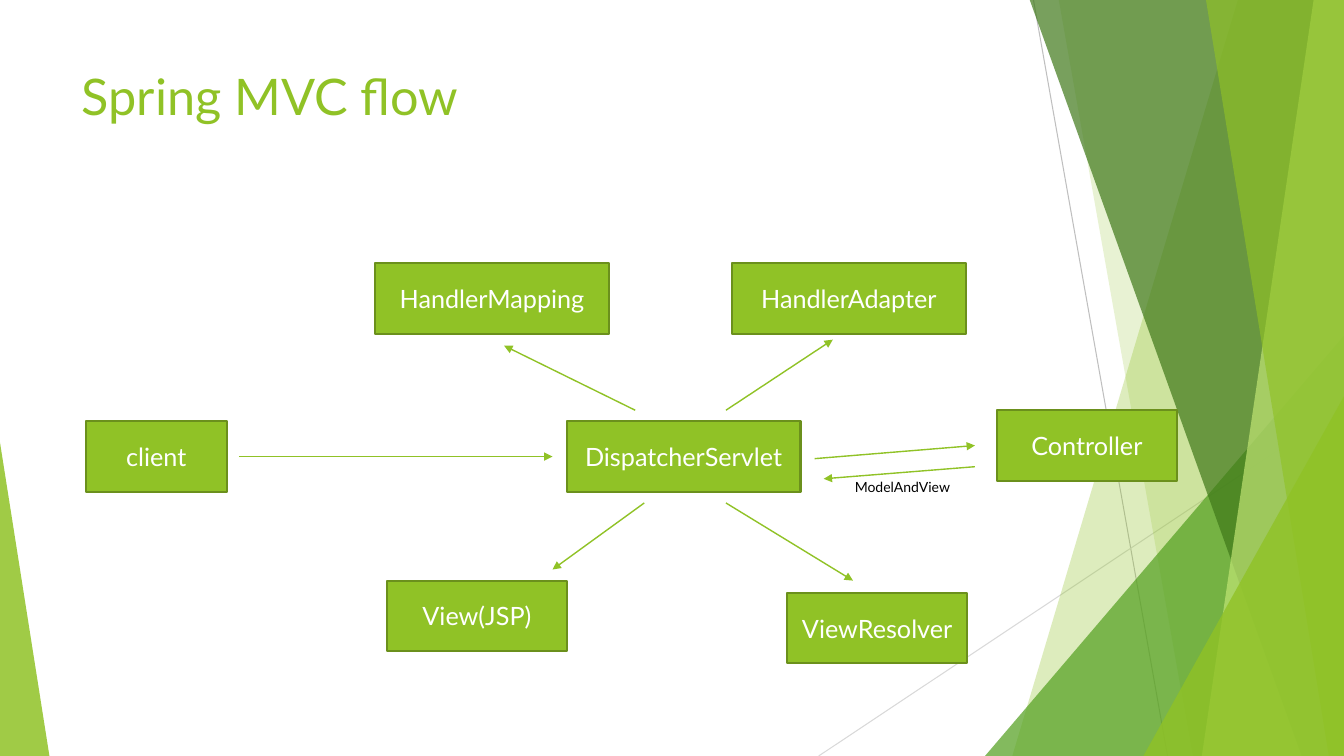
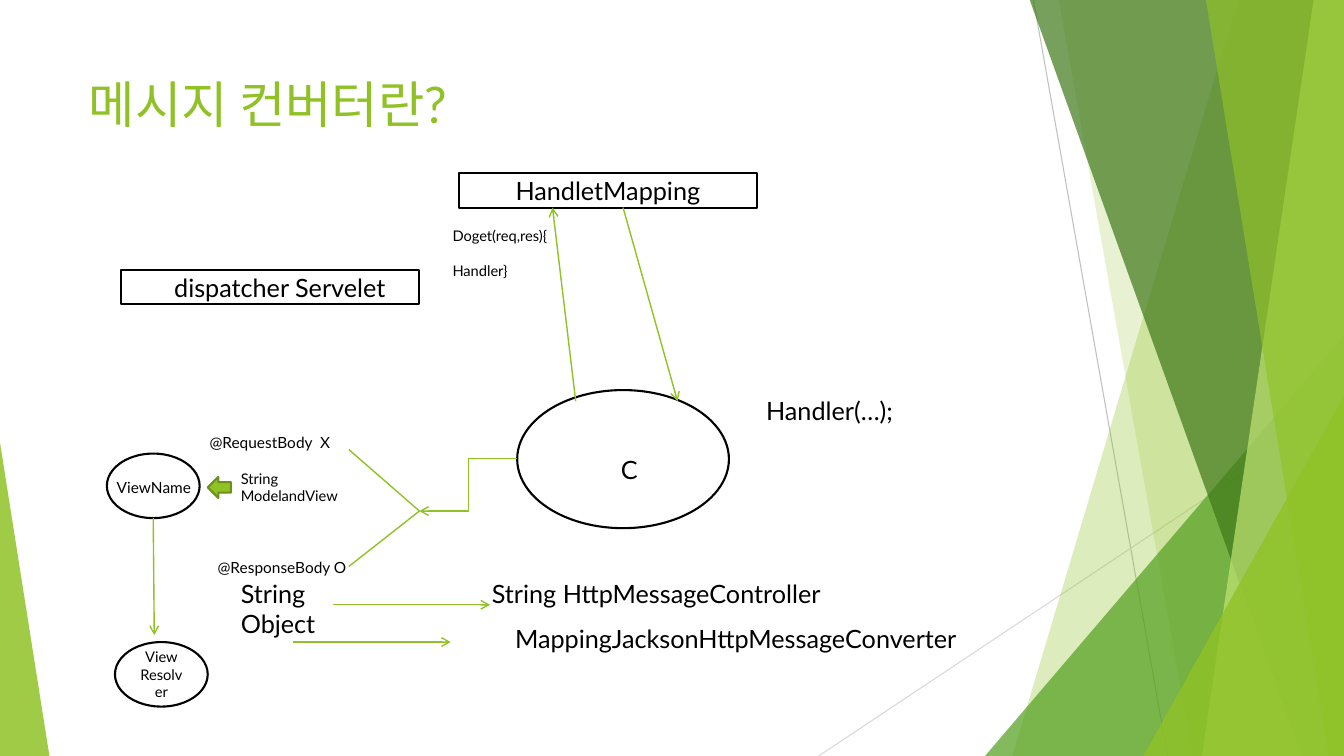
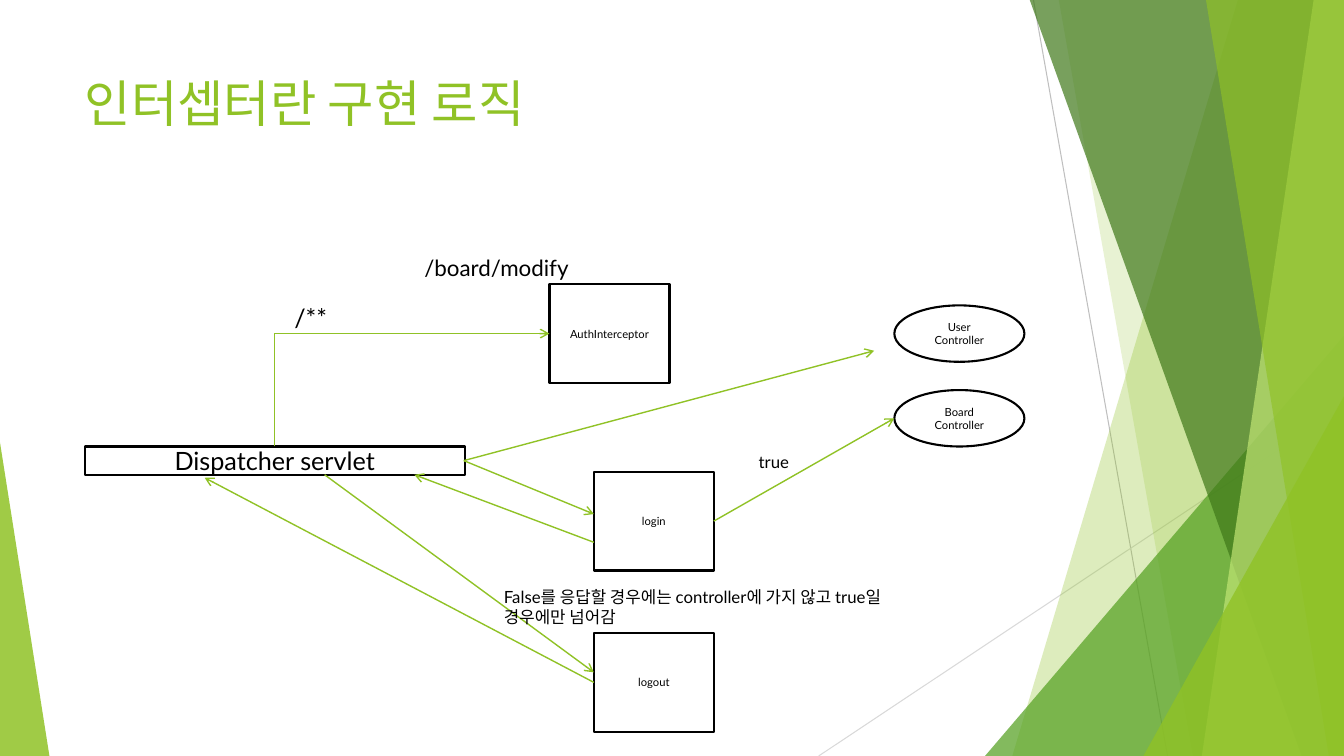
from lxml.etree import SubElement
from pptx import Presentation
from pptx.dml.color import RGBColor
from pptx.enum.shapes import MSO_CONNECTOR, MSO_SHAPE
from pptx.enum.text import MSO_ANCHOR, MSO_AUTO_SIZE, PP_ALIGN
from pptx.oxml.ns import qn
from pptx.util import Inches, Pt

FONT = "Lato"
W, H = 13.33, 7.5
COLORS = {
    "green": "90C226", "edge": "6B901C", "mid": "54A021", "dark": "3F7819",
    "pale": "C0E474", "black": "000000", "white": "FFFFFF",
    "gray": "BFBFBF", "light": "D9D9D9",
}
RECT, OVAL, TRIANGLE = MSO_SHAPE.RECTANGLE, MSO_SHAPE.OVAL, MSO_SHAPE.ISOSCELES_TRIANGLE
LEFT, CENTER = PP_ALIGN.LEFT, PP_ALIGN.CENTER

BACK_LINES = [((10.25, 0, 11.58, H), "gray"), ((W, 4.03, 8.12, H), "light")]
BACK_SHAPES = [
    ("band", (12.28, W, 10.04), "green", 30),
    ("band", (10.5, W, 11.83), "green", 20),
    ("triangle", (9.77, 3.33, 3.56, 1), "mid", 72),
    ("band", (10.21, W, 12.91), "dark", 70),
    ("band", (13.03, W, 11.92), "pale", 70),
    ("band", (11.96, W, 13.18), "green", 65),
    ("triangle", (11.34, 3.93, 1.99, 1), "green", 80),
    ("triangle", (0, 4.39, 0.49, 0), "green", 85),
]

FLOW_TITLE = ("Spring MVC flow", (0.71, 0.6, 5.01, 0.91))
FLOW_BOXES = [
    ("client", 0.85, 4.18, 1.4),
    ("DispatcherServlet", 5.62, 4.18, 2.32),
    ("HandlerMapping", 3.72, 2.61, 2.32),
    ("HandlerAdapter", 7.26, 2.61, 2.32),
    ("Controller", 9.89, 4.07, 1.78),
    ("ViewResolver", 7.81, 5.88, 1.78),
    ("View(JSP)", 3.84, 5.76, 1.78),
]
FLOW_ARROWS = [
    (2.37, 4.53, 5.48, 4.53), (6.3, 4.07, 5, 3.43), (7.2, 4.07, 8.26, 3.37),
    (8.08, 4.55, 9.67, 4.42), (7.2, 4.99, 8.46, 5.76), (6.39, 4.99, 5.48, 5.65),
    (9.67, 4.63, 8.17, 4.75),
]
FLOW_LABELS = [("ModelAndView", (8.38, 4.7, 1.35, 0.27), 10, LEFT)]

CONVERTER_TITLE = ("메시지 컨버터란?", (0.78, 0.68, 9.4, 1.44))
CONVERTER_SHAPES = [
    (RECT, "HandletMapping", (4.55, 1.72, 2.96, 0.34), 18),
    (OVAL, "", (5.13, 3.87, 2.1, 1.37), 18),
    (OVAL, "", (1.06, 4.5, 0.92, 0.64), 11),
    (OVAL, "View Resolver", (1.14, 6.37, 0.92, 0.64), 10.5),
]
CONVERTER_SERVLET = (RECT, "dispatcher Servelet", (1.2, 2.68, 2.96, 0.34), 18)
CONVERTER_ARROWS = [
    (5.71, 3.98, 5.48, 2.06), (6.18, 2.06, 6.72, 3.98), (1.52, 5.14, 1.53, 6.3),
    (3.3, 6, 4.86, 6), (2.91, 6.37, 4.47, 6.37),
]
CONVERTER_ELBOW = (5.13, 4.55, 4.16, 5.07)
CONVERTER_FORK = [(3.46, 4.46, 4.16, 5.07), (4.16, 5.07, 3.46, 5.62)]
BLOCK_ARROW = (2.06, 4.73, 0.23, 0.21)
CONVERTER_LABELS = [
    ("@RequestBody  X", (1.98, 4.25, 1.56, 0.25), 11, LEFT),
    ("@ResponseBody O", (2.06, 5.49, 1.75, 0.25), 11, LEFT),
    ("String\nModelandView", (2.29, 4.61, 1.24, 0.41), 10.5, LEFT),
    ("String\nObject", (2.29, 5.69, 1.01, 0.61), 18, LEFT),
    ("String HttpMessageController", (4.78, 5.69, 4.43, 0.35), 18, LEFT),
    ("MappingJacksonHttpMessageConverter", (5.01, 6.13, 4.75, 0.35), 18, LEFT),
    ("C", (5.48, 4.46, 1.52, 0.35), 18, CENTER),
    ("Handler(…);", (7.5, 3.87, 2.88, 0.35), 18, LEFT),
]
VIEW_NAME = ("ViewName", (1.06, 4.69, 0.94, 0.25), 11, LEFT)
HANDLER_CODE = ("Doget(req,res){\nHandler}", (4.39, 2.2, 1.21, 0.55), 10.5, LEFT)

INTERCEPTOR_TITLE = ("인터셉터란 구현 로직", (0.74, 0.67, 9.4, 1.44))
INTERCEPTOR_SHAPES = [
    (RECT, "Dispatcher servlet", (0.84, 4.43, 3.77, 0.28), 18),
    (RECT, "login", (5.89, 4.68, 1.19, 0.98), 8),
    (RECT, "logout", (5.89, 6.28, 1.19, 0.98), 8),
    (RECT, "AuthInterceptor", (5.45, 2.82, 1.19, 0.98), 8),
    (OVAL, "User\nController", (8.87, 3.03, 1.29, 0.56), 8),
    (OVAL, "Board\nController", (8.87, 3.87, 1.29, 0.56), 8),
]
INTERCEPTOR_ARROWS = [
    (4.6, 4.57, 5.89, 5.1), (7.08, 5.17, 8.87, 4.15), (4.6, 4.57, 8.67, 3.48),
    (5.89, 5.38, 4.11, 4.71), (3.22, 4.71, 5.89, 6.67), (5.89, 6.77, 2.03, 4.74),
]
INTERCEPTOR_CORNER = (2.72, 4.43, 5.45, 3.31)
INTERCEPTOR_LABELS = [
    ("False를 응답할 경우에는 controller에 가지 않고 true일 경우에만 넘어감",
     (4.9, 5.77, 3.97, 0.36), 12, LEFT),
    ("true", (7.18, 4.43, 0.99, 0.22), 12, CENTER),
    ("/board/modify", (4.11, 2.47, 2.28, 0.26), 16, LEFT),
    ("/**", (2.82, 2.95, 1.59, 0.29), 18, LEFT),
]


def rgb(name):
    return RGBColor.from_string(COLORS[name])


def inches(values):
    return [Inches(v) for v in values]


def write(tf, text, size, color="black", align=LEFT):
    tf.text = text
    tf.word_wrap = True
    for p in tf.paragraphs:
        p.alignment = align
        p.font.size = Pt(size)
        p.font.name = FONT
        p.font.color.rgb = rgb(color)


def add_box(slide, kind, text, at, size, fill=None, line="black", color="black"):
    sp = slide.shapes.add_shape(kind, *inches(at))
    sp.shadow.inherit = False
    if fill:
        sp.fill.solid()
        sp.fill.fore_color.rgb = rgb(fill)
    else:
        sp.fill.background()
    sp.line.color.rgb = rgb(line)
    sp.line.width = Pt(1.5)
    if text:
        write(sp.text_frame, text, size, color, CENTER)
        sp.text_frame.vertical_anchor = MSO_ANCHOR.MIDDLE
    return sp


def add_label(slide, text, at, size, align):
    tf = slide.shapes.add_textbox(*inches(at)).text_frame
    write(tf, text, size, align=align)
    tf.auto_size = MSO_AUTO_SIZE.SHAPE_TO_FIT_TEXT
    return tf


def add_line(slide, ends, head=None, kind=MSO_CONNECTOR.STRAIGHT, color="green", width=1):
    cn = slide.shapes.add_connector(kind, *inches(ends))
    cn.line.color.rgb = rgb(color)
    cn.line.width = Pt(width)
    if head:
        SubElement(cn.line._get_or_add_ln(), qn("a:tailEnd"), type=head)
    SubElement(cn.element.spPr, qn("a:effectLst"))
    return cn


def add_corner(slide, ends, head):
    x1, y1, x2, y2 = ends
    cx, cy = (x1 + x2) / 2, (y1 + y2) / 2
    dx, dy = abs(y2 - y1) / 2, abs(x2 - x1) / 2
    cn = add_line(slide, (cx + dx, cy + dy, cx - dx, cy - dy), head, MSO_CONNECTOR.ELBOW)
    cn.element.spPr.find(qn("a:xfrm")).set("rot", str(90 * 60000))
    cn.element.spPr.find(qn("a:prstGeom")).set("prst", "bentConnector2")


def add_band(slide, top_left, right, bottom_left):
    points = [(right, -0.01), (right, H), (bottom_left, H)]
    fb = slide.shapes.build_freeform(Inches(top_left), Inches(-0.01))
    fb.add_line_segments([inches(pt) for pt in points], close=True)
    return fb.convert_to_shape()


def add_triangle(slide, x, y, w, apex):
    sp = slide.shapes.add_shape(TRIANGLE, *inches((x, y, w, H - y)))
    sp.adjustments[0] = apex
    return sp


def add_backdrop(slide):
    parts = [add_line(slide, ends, color=color, width=0.75) for ends, color in BACK_LINES]
    for kind, geometry, color, opacity in BACK_SHAPES:
        sp = (add_band if kind == "band" else add_triangle)(slide, *geometry)
        sp.shadow.inherit = False
        sp.line.fill.background()
        sp.fill.solid()
        sp.fill.fore_color.rgb = rgb(color)
        clr = sp.element.spPr.find(".//" + qn("a:srgbClr"))
        SubElement(clr, qn("a:alpha"), val=str(opacity * 1000))
        parts.append(sp)
    tree = slide.slide_layout.shapes.element
    for i, part in enumerate(parts):
        tree.insert(2 + i, part.element)


def add_slide(text, at):
    slide = prs.slides.add_slide(prs.slide_layouts[5])
    title = slide.shapes.title
    title.left, title.top, title.width, title.height = inches(at)
    tf = title.text_frame
    write(tf, text, 36, "green")
    tf.vertical_anchor = MSO_ANCHOR.TOP
    tf.auto_size = MSO_AUTO_SIZE.NONE
    return slide


def fill_slide(slide, shapes, arrows, labels, head="arrow"):
    for shape in shapes:
        add_box(slide, *shape)
    for ends in arrows:
        add_line(slide, ends, head)
    for label in labels:
        add_label(slide, *label)


prs = Presentation()
prs.slide_width, prs.slide_height = Inches(W), Inches(H)

flow = add_slide(*FLOW_TITLE)
add_backdrop(flow)
for name, x, y, w in FLOW_BOXES:
    add_box(flow, RECT, name, (x, y, w, 0.7), 18, "green", "edge", "white")
fill_slide(flow, [], FLOW_ARROWS, FLOW_LABELS, "triangle")

converter = add_slide(*CONVERTER_TITLE)
fill_slide(converter, CONVERTER_SHAPES, CONVERTER_ARROWS, CONVERTER_LABELS)
servlet = add_box(converter, *CONVERTER_SERVLET)
servlet.text_frame.margin_left = Inches(0.29)
add_line(converter, CONVERTER_ELBOW, "arrow", MSO_CONNECTOR.ELBOW)
for ends in CONVERTER_FORK:
    add_line(converter, ends)
block = add_box(converter, MSO_SHAPE.RIGHT_ARROW, "", BLOCK_ARROW, 11, "green", "edge")
block.rotation = 180
add_label(converter, *VIEW_NAME).word_wrap = False
add_label(converter, *HANDLER_CODE).paragraphs[1].space_before = Pt(12.6)

interceptor = add_slide(*INTERCEPTOR_TITLE)
fill_slide(interceptor, INTERCEPTOR_SHAPES, INTERCEPTOR_ARROWS, INTERCEPTOR_LABELS)
add_corner(interceptor, INTERCEPTOR_CORNER, "arrow")

prs.save("out.pptx")
